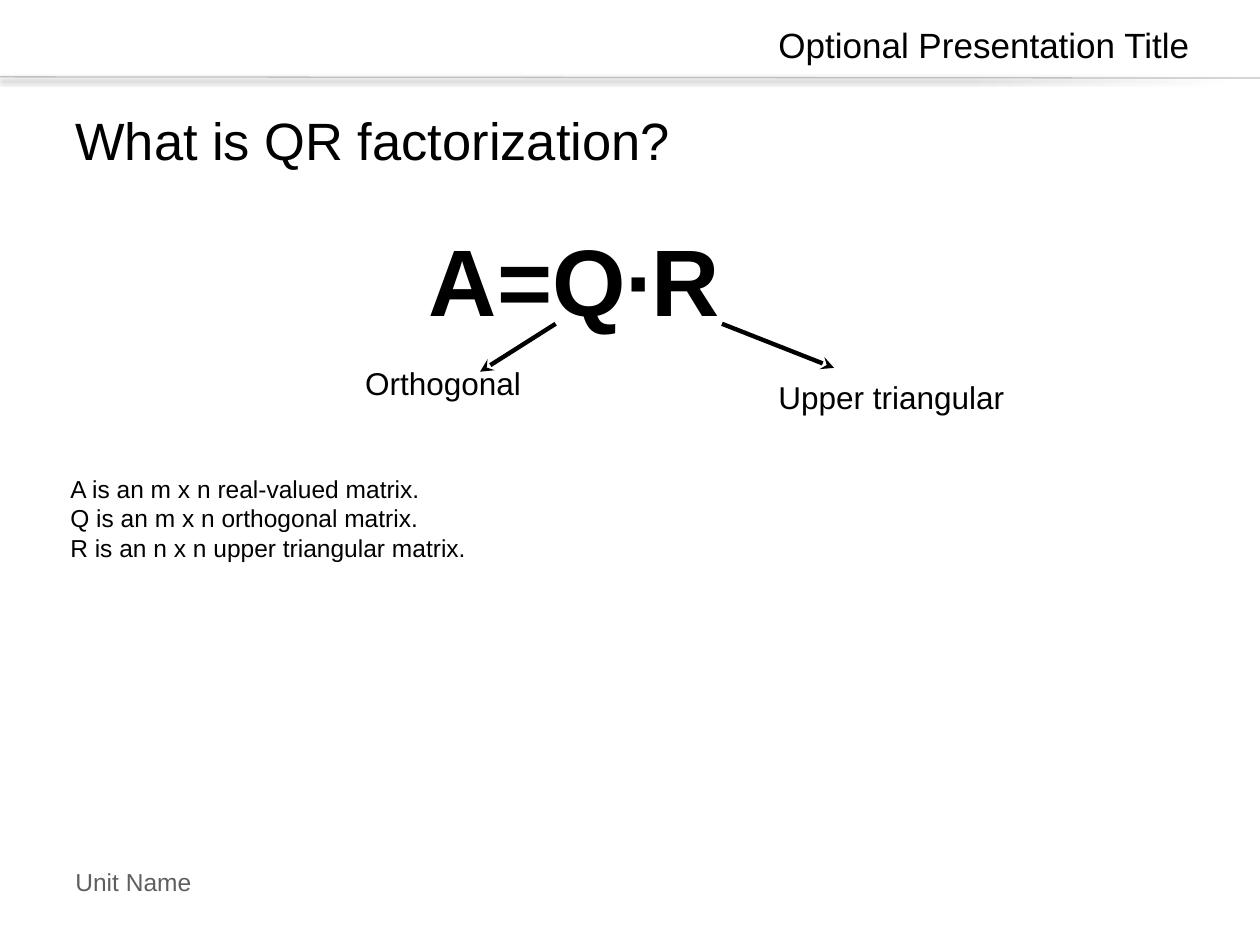
from dataclasses import dataclass

from lxml import etree
from pptx import Presentation
from pptx.dml.color import RGBColor
from pptx.enum.shapes import MSO_CONNECTOR
from pptx.enum.text import MSO_ANCHOR, PP_ALIGN
from pptx.oxml.ns import qn
from pptx.slide import Slide
from pptx.util import Inches, Pt

LEFT, CENTER, RIGHT = PP_ALIGN.LEFT, PP_ALIGN.CENTER, PP_ALIGN.RIGHT
TOP, MIDDLE = MSO_ANCHOR.TOP, MSO_ANCHOR.MIDDLE
STRAIGHT = MSO_CONNECTOR.STRAIGHT

BLACK = RGBColor(0x00, 0x00, 0x00)
FOOTER_GRAY = RGBColor(0x5F, 0x5F, 0x5F)
RULE_GRAY = RGBColor(0xBF, 0xBF, 0xBF)
FONT = "Arial"


@dataclass(frozen=True)
class Label:
    lines: tuple[str, ...]
    left: float
    top: float
    width: float
    height: float
    size: int
    color: RGBColor = BLACK
    align: PP_ALIGN = LEFT
    anchor: MSO_ANCHOR = TOP
    bold: bool = False
    inset: float = 0.05


@dataclass(frozen=True)
class Line:
    start: tuple[float, float]
    end: tuple[float, float]
    color: RGBColor
    width: float
    arrow: bool = False
    shadow: bool = False


HEADER = (
    Label(("Unit Name",), 0.5, 6.83, 2.5, 0.33, 14, FOOTER_GRAY),
    Label(("Optional Presentation Title",), 6.05, 0.14, 3.49, 0.44, 20, align=RIGHT),
)
HEADER_RULE = Line((0, 0.61), (10, 0.62), RULE_GRAY, 0.75, shadow=True)
FACTORIZATION = (
    Label(("What is QR factorization?",), 0.5, 0.67, 9, 0.88, 30, anchor=MIDDLE),
    Label(("A=Q∙R",), 3.29, 1.71, 2.54, 1.01, 54, align=CENTER, bold=True),
    Label(("Orthogonal",), 2.8, 2.84, 1.52, 0.4, 18),
    Label(("Upper triangular",), 6.08, 2.95, 2.35, 0.4, 18),
)
FACTOR_ARROWS = (
    Line((4.41, 2.57), (3.81, 2.95), BLACK, 2.5, arrow=True),
    Line((5.73, 2.57), (6.62, 2.92), BLACK, 2.5, arrow=True),
)
DEFINITIONS = Label(
    (
        "A is an m x n real-valued matrix.",
        "Q is an m x n orthogonal matrix.",
        "R is an n x n upper triangular matrix.",
    ),
    0.46, 3.66, 8.86, 2.53, 14, inset=0.1,
)


def draw_label(slide: Slide, label: Label) -> None:
    box = slide.shapes.add_textbox(
        Inches(label.left), Inches(label.top), Inches(label.width), Inches(label.height)
    )
    frame = box.text_frame
    frame.word_wrap = True
    frame.vertical_anchor = label.anchor
    frame.margin_left = frame.margin_right = Inches(0.1)
    frame.margin_top = frame.margin_bottom = Inches(label.inset)
    frame.text = "\n".join(label.lines)
    for paragraph in frame.paragraphs:
        paragraph.alignment = label.align
        paragraph.font.name = FONT
        paragraph.font.size = Pt(label.size)
        paragraph.font.bold = label.bold
        paragraph.font.color.rgb = label.color


def draw_line(slide: Slide, line: Line) -> None:
    connector = slide.shapes.add_connector(
        STRAIGHT, *(Inches(value) for value in line.start + line.end)
    )
    connector.line.color.rgb = line.color
    connector.line.width = Pt(line.width)
    properties = connector.element.spPr
    if line.arrow:
        etree.SubElement(properties.find(qn("a:ln")), qn("a:tailEnd"), type="stealth")
    effects = etree.SubElement(properties, qn("a:effectLst"))
    if line.shadow:
        shadow = etree.SubElement(
            effects, qn("a:outerShdw"), blurRad=str(Pt(3.1)), dist=str(Pt(1.6)),
            dir="5400000", rotWithShape="0",
        )
        tint = etree.SubElement(shadow, qn("a:srgbClr"), val=str(BLACK))
        etree.SubElement(tint, qn("a:alpha"), val="38000")


def main() -> None:
    presentation = Presentation()
    presentation.slide_width = Inches(10)
    presentation.slide_height = Inches(7.5)
    slide = presentation.slides.add_slide(presentation.slide_layouts[6])
    for label in HEADER:
        draw_label(slide, label)
    draw_line(slide, HEADER_RULE)
    for label in FACTORIZATION:
        draw_label(slide, label)
    for arrow in FACTOR_ARROWS:
        draw_line(slide, arrow)
    draw_label(slide, DEFINITIONS)
    presentation.save("out.pptx")


if __name__ == "__main__":
    main()
